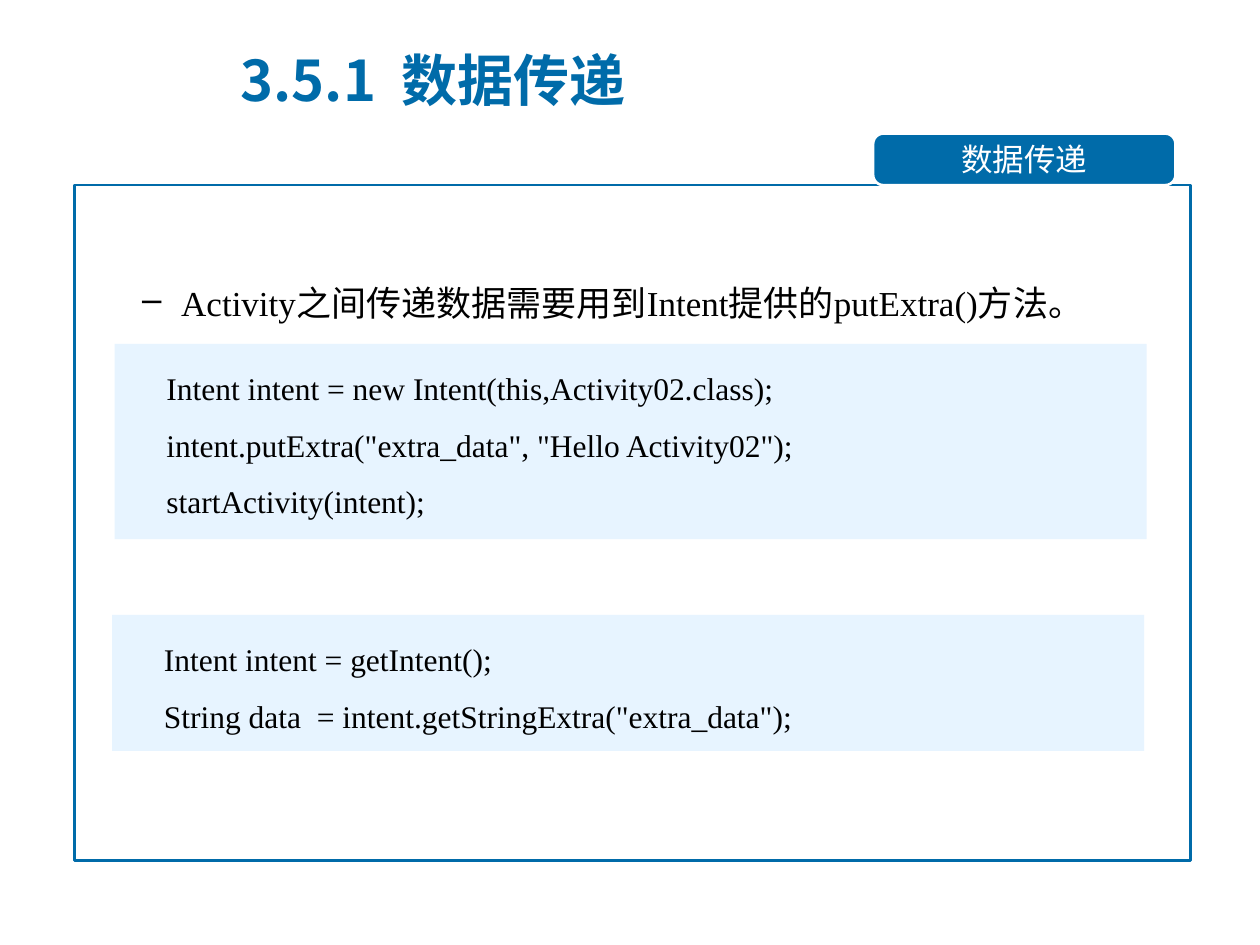
import pptx
import pptx.dml.color
import pptx.enum.shapes
import pptx.enum.text
import pptx.oxml.ns
import pptx.util
from lxml import etree

Inches = pptx.util.Inches
Pt = pptx.util.Pt
RGBColor = pptx.dml.color.RGBColor
Shapes = pptx.enum.shapes.MSO_SHAPE
Anchor = pptx.enum.text.MSO_ANCHOR
Align = pptx.enum.text.PP_ALIGN
qn = pptx.oxml.ns.qn

BLUE = RGBColor(0x00, 0x6B, 0xA9)
PALE_BLUE = RGBColor(0xE7, 0xF4, 0xFF)
WHITE = RGBColor(0xFF, 0xFF, 0xFF)
BLACK = RGBColor(0x00, 0x00, 0x00)
CHINESE_FONT = "Noto Sans CJK SC"
LATIN_FONT = "Times New Roman"
PUNCTUATION_FONT = "Calibri"
TITLE_ONLY = 5


class SlideBuilder:
    def __init__(self, slide):
        self.slide = slide

    def add_run(self, paragraph, text, size, color, font=LATIN_FONT, bold=False):
        run = paragraph.add_run()
        run.text = text
        run.font.size = Pt(size)
        run.font.bold = bold
        run.font.color.rgb = color
        run.font.name = font
        east_asian = etree.Element(qn("a:ea"), typeface=CHINESE_FONT)
        run.font._element.find(qn("a:latin")).addnext(east_asian)

    def add_title(self, text, left, top, width, height):
        title = self.slide.shapes.title
        title.left, title.top = Inches(left), Inches(top)
        title.width, title.height = Inches(width), Inches(height)
        frame = title.text_frame
        frame.word_wrap = True
        frame.auto_size = pptx.enum.text.MSO_AUTO_SIZE.NONE
        frame.vertical_anchor = Anchor.MIDDLE
        paragraph = frame.paragraphs[0]
        paragraph.alignment = Align.LEFT
        self.add_run(paragraph, text, 32, BLUE, CHINESE_FONT, bold=True)

    def add_box(self, kind, left, top, width, height, fill=None, line=None):
        shape = self.slide.shapes.add_shape(
            kind, Inches(left), Inches(top), Inches(width), Inches(height))
        shape.shadow.inherit = False
        if fill is None:
            shape.fill.background()
        else:
            shape.fill.solid()
            shape.fill.fore_color.rgb = fill
        if line is None:
            shape.line.fill.background()
        else:
            shape.line.color.rgb = line
            shape.line.width = Pt(1.5)
        return shape

    def add_tab(self, text, left, top, width, height):
        tab = self.add_box(Shapes.ROUNDED_RECTANGLE, left, top, width, height,
                           BLUE, WHITE)
        tab.adjustments[0] = 0.2
        frame = tab.text_frame
        frame.margin_top = frame.margin_bottom = Inches(0.06)
        frame.vertical_anchor = Anchor.MIDDLE
        paragraph = frame.paragraphs[0]
        paragraph.alignment = Align.CENTER
        self.add_run(paragraph, text, 18, WHITE, CHINESE_FONT)

    def add_code(self, lines, left, top, width, height):
        box = self.add_box(Shapes.RECTANGLE, left, top, width, height, PALE_BLUE)
        frame = box.text_frame
        frame.vertical_anchor = Anchor.TOP
        for index, line in enumerate(lines):
            paragraph = frame.add_paragraph() if index else frame.paragraphs[0]
            paragraph.alignment = Align.LEFT
            paragraph.line_spacing = 1.5
            self.add_run(paragraph, line, 18, BLACK)

    def add_bullet(self, runs, left, top, width, height):
        box = self.slide.shapes.add_textbox(
            Inches(left), Inches(top), Inches(width), Inches(height))
        frame = box.text_frame
        frame.word_wrap = True
        paragraph = frame.paragraphs[0]
        properties = paragraph._p.get_or_add_pPr()
        properties.set("marL", str(Inches(0.81)))
        properties.set("indent", str(Inches(-0.31)))
        etree.SubElement(properties, qn("a:buChar"), char="–")
        paragraph.level = 1
        paragraph.line_spacing = 1.5
        for text, font in runs:
            self.add_run(paragraph, text, 20, BLACK, font)


def main():
    presentation = pptx.Presentation()
    presentation.slide_width = Inches(10)
    presentation.slide_height = Inches(7.5)
    slide = presentation.slides.add_slide(presentation.slide_layouts[TITLE_ONLY])
    builder = SlideBuilder(slide)

    builder.add_title("3.5.1  数据传递", 1.81, 0.21, 5.63, 0.84)
    builder.add_box(Shapes.RECTANGLE, 0.59, 1.47, 8.86, 5.36, line=BLUE)
    builder.add_tab("数据传递", 6.93, 1.06, 2.4, 0.41)
    builder.add_code([
        "     Intent intent = new Intent(this,Activity02.class);",
        '     intent.putExtra("extra_data", "Hello Activity02");',
        "     startActivity(intent);",
    ], 0.91, 2.73, 8.19, 1.55)
    builder.add_bullet([
        ("Activity之间传递数据需要用到Intent提供的putExtra()方法", LATIN_FONT),
        ("。", PUNCTUATION_FONT),
    ], 0.53, 2.02, 8.81, 3.4)
    builder.add_code([
        "     Intent intent = getIntent();",
        '     String data  = intent.getStringExtra("extra_data");',
    ], 0.89, 4.88, 8.19, 1.08)

    presentation.save("out.pptx")


if __name__ == "__main__":
    main()
